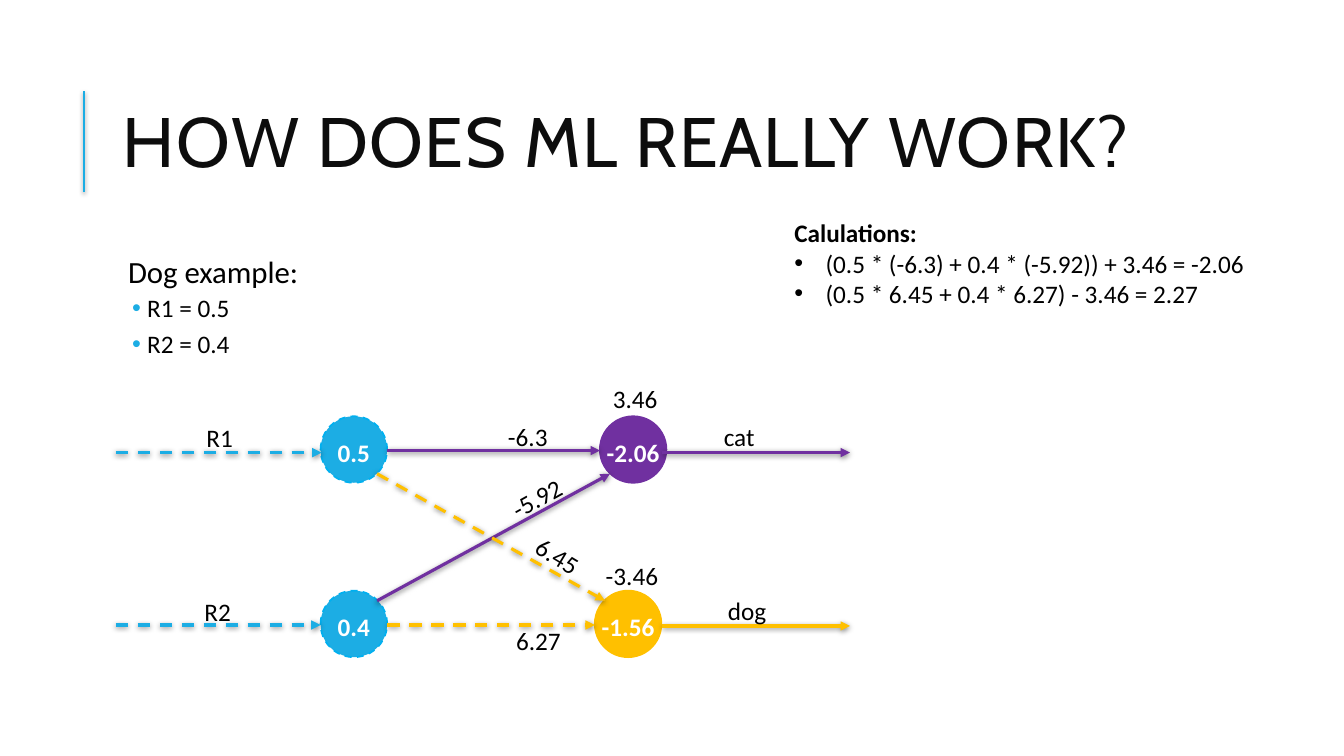
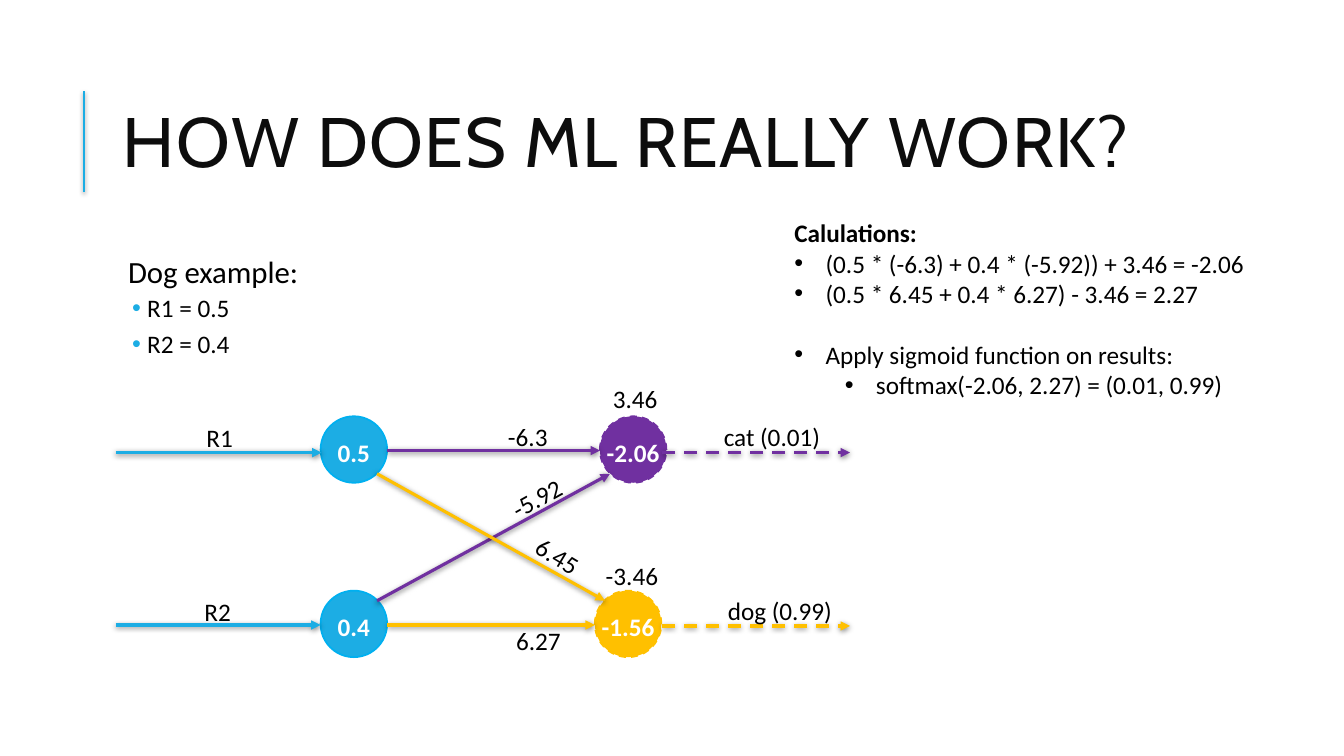
from lxml import etree
from pptx import Presentation
from pptx.dml.color import RGBColor
from pptx.enum.dml import MSO_LINE as Dash
from pptx.enum.shapes import MSO_CONNECTOR as Link, MSO_SHAPE as Shape
from pptx.enum.text import MSO_ANCHOR as Anchor, PP_ALIGN as Align
from pptx.oxml import parse_xml
from pptx.oxml.ns import nsdecls, qn
from pptx.util import Inches, Pt

COLORS = {
    "blue": "1CADE4", "rim": "00B0F0", "purple": "7030A0", "gold": "FFC000",
    "title": "0D0D0D", "text": "000000", "white": "FFFFFF",
}
ROWS = (4.13, 5.86)
SIZE = 0.66
SHADOW = (
    f'<a:effectLst {nsdecls("a")}><a:outerShdw blurRad="50800" dist="12700" '
    'dir="5400000" rotWithShape="0"><a:srgbClr val="000000">'
    '<a:alpha val="50000"/></a:srgbClr></a:outerShdw></a:effectLst>'
)
SUMS = [
    ("Calulations:", None, 0),
    ("(0.5 * (-6.3) + 0.4 * (-5.92)) + 3.46 = -2.06", 0.31, 0),
    ("(0.5 * 6.45 + 0.4 * 6.27) - 3.46 = 2.27", 0.31, 0),
]
RESULT = [
    ("Apply sigmoid function on results:", 0.31, 22),
    ("softmax(-2.06, 2.27) = (0.01, 0.99)", 0.81, 0),
]
# text, left, top, width, turn
WEIGHTS = [
    ("R1", 1.95, 4.14, 0.47, 0), ("R2", 1.93, 5.87, 0.47, 0),
    ("-6.3", 4.94, 4.13, 0.6, 0), ("6.27", 5.02, 6.15, 0.65, 0),
    ("-5.92", 4.96, 4.73, 0.76, -29.1), ("6.45", 5.21, 5.32, 0.67, 31.1),
    ("3.46", 5.98, 3.75, 0.65, 0), ("-3.46", 5.91, 5.51, 0.73, 0),
]


def rgb(name):
    return RGBColor.from_string(COLORS[name])


def style(para, size=18, color="text", bold=False, face="Calibri"):
    for run in para.runs:
        font = run.font
        font.name, font.size, font.bold = face, Pt(size), bold
        font.color.rgb = rgb(color)


def add_box(slide, left, top, width, height, wrap=True):
    box = slide.shapes.add_textbox(*map(Inches, (left, top, width, height)))
    box.text_frame.word_wrap = wrap
    return box


def add_lines(frame, texts):
    """Fill the frame with one paragraph per text."""
    frame.text = "\n".join(texts)
    return frame.paragraphs


def indent(para, left, hang=0.0):
    props = para._p.get_or_add_pPr()
    props.set("marL", str(Inches(left)))
    props.set("indent", str(-Inches(hang)))
    return props


def bullet(para, left, hang, color="text"):
    props = indent(para, left, hang)
    tint = etree.SubElement(props, qn("a:buClr"))
    etree.SubElement(tint, qn("a:srgbClr"), val=COLORS[color])
    etree.SubElement(props, qn("a:buFont"), typeface="Arial")
    etree.SubElement(props, qn("a:buChar"), char="•")


def add_line(slide, start, end, color, width):
    line = slide.shapes.add_connector(
        Link.STRAIGHT, *map(Inches, (*start, *end)))
    line.line.color.rgb = rgb(color)
    line.line.width = Pt(width)
    return line


def add_arrow(slide, start, end, color, dash):
    line = add_line(slide, start, end, color, 2.25)
    if dash:
        line.line.dash_style = Dash.DASH
    props = line._element.spPr
    etree.SubElement(props.find(qn("a:ln")), qn("a:tailEnd"), type="triangle")
    props.append(parse_xml(SHADOW))


def add_node(slide, text, left, top, fill, rim, dash):
    node = slide.shapes.add_shape(
        Shape.OVAL, *map(Inches, (left, top, SIZE, SIZE)))
    node.shadow.inherit = False
    node.fill.solid()
    node.fill.fore_color.rgb = rgb(fill)
    node.line.color.rgb = rgb(rim)
    node.line.width = Pt(1.25)
    if dash:
        node.line.dash_style = Dash.DASH
    frame = node.text_frame
    frame.word_wrap = False
    frame.margin_left = frame.margin_right = frame.margin_bottom = 0
    frame.margin_top = Inches(0.05)
    frame.vertical_anchor = Anchor.MIDDLE
    frame.text = text
    para = frame.paragraphs[0]
    para.alignment = Align.CENTER
    style(para, color="white", bold=True)


def add_label(slide, text, left, top, width, turn=0):
    box = add_box(slide, left, top, width, 0.4, wrap=False)
    box.rotation = turn
    box.text_frame.text = text
    style(box.text_frame.paragraphs[0])


def add_title(slide, text):
    add_line(slide, (0.83, 1.9), (0.83, 0.9), "blue", 1.5)
    frame = add_box(slide, 1.12, 0.64, 10.63, 1.64).text_frame
    frame.vertical_anchor = Anchor.MIDDLE
    frame.text = text
    para = frame.paragraphs[0]
    para.line_spacing = 0.8
    style(para, 50, "title", face="Cabin")
    para.runs[0].font._element.set("spc", "100")


def add_inputs(slide):
    frame = add_box(slide, 1.12, 2.5, 4, 1.2).text_frame
    frame.margin_left = frame.margin_right = Inches(0.05)
    frame.margin_top = frame.margin_bottom = Inches(0.05)
    head, *items = add_lines(frame, ["Dog example:", "R1 = 0.5", "R2 = 0.4"])
    indent(head, 0.1)
    head.line_spacing, head.space_after = 0.9, Pt(2)
    style(head, 22)
    for item in items:
        item.level = 1
        bullet(item, 0.29, 0.15, "blue")
        item.line_spacing = 0.9
        item.space_before, item.space_after = Pt(2), Pt(4)
        style(item)


def add_sums(slide, rows):
    box = add_box(slide, 7.78, 2.11, 5.05, 0.4 + 0.3 * len(rows))
    paras = add_lines(box.text_frame, [row[0] for row in rows])
    for para, (_, left, gap) in zip(paras, rows):
        if left:
            bullet(para, left, 0.31)
            para.level = int(left > 0.5)
        if gap:
            para.space_before = Pt(gap)
        style(para, bold=left is None)


def add_net(slide, front, outs):
    """Draw the network; front dashes the input side, else the output side."""
    back = not front
    top, low = ROWS
    for text, y in zip(("0.5", "0.4"), ROWS):
        add_node(slide, text, 3.18, y, "blue", "rim", front)
    add_node(slide, "-2.06", 5.95, top, "purple", "purple", back)
    add_node(slide, "-1.56", 5.9, low, "gold", "gold", back)
    for start, end, color, dash in (
        ((3.84, 4.47), (5.95, 4.47), "purple", False),
        ((3.84, 6.2), (5.9, 6.2), "gold", front),
        ((3.74, 5.96), (6.05, 4.7), "purple", False),
        ((3.74, 4.7), (6, 5.96), "gold", front),
        ((1.15, 4.49), (3.19, 4.49), "blue", front),
        ((1.15, 6.2), (3.18, 6.2), "blue", front),
        ((6.57, 4.49), (8.43, 4.49), "purple", back),
        ((6.57, 6.21), (8.43, 6.21), "gold", back),
    ):
        add_arrow(slide, start, end, color, dash)
    for label in WEIGHTS:
        add_label(slide, *label)
    for (text, width), left, y in zip(outs, (7.08, 7.12), ROWS):
        add_label(slide, text, left, y, width)


def main():
    deck = Presentation()
    deck.slide_width, deck.slide_height = Inches(13.33), Inches(7.5)
    for front, outs, sums in (
        (True, (("cat", 0.51), ("dog", 0.61)), SUMS),
        (False, (("cat (0.01)", 1.18), ("dog (0.99)", 1.28)), SUMS + RESULT),
    ):
        slide = deck.slides.add_slide(deck.slide_layouts[6])
        add_title(slide, "HOW DOES ML REALLY WORK?")
        add_inputs(slide)
        add_net(slide, front, outs)
        add_sums(slide, sums)
    deck.save("out.pptx")


if __name__ == "__main__":
    main()
